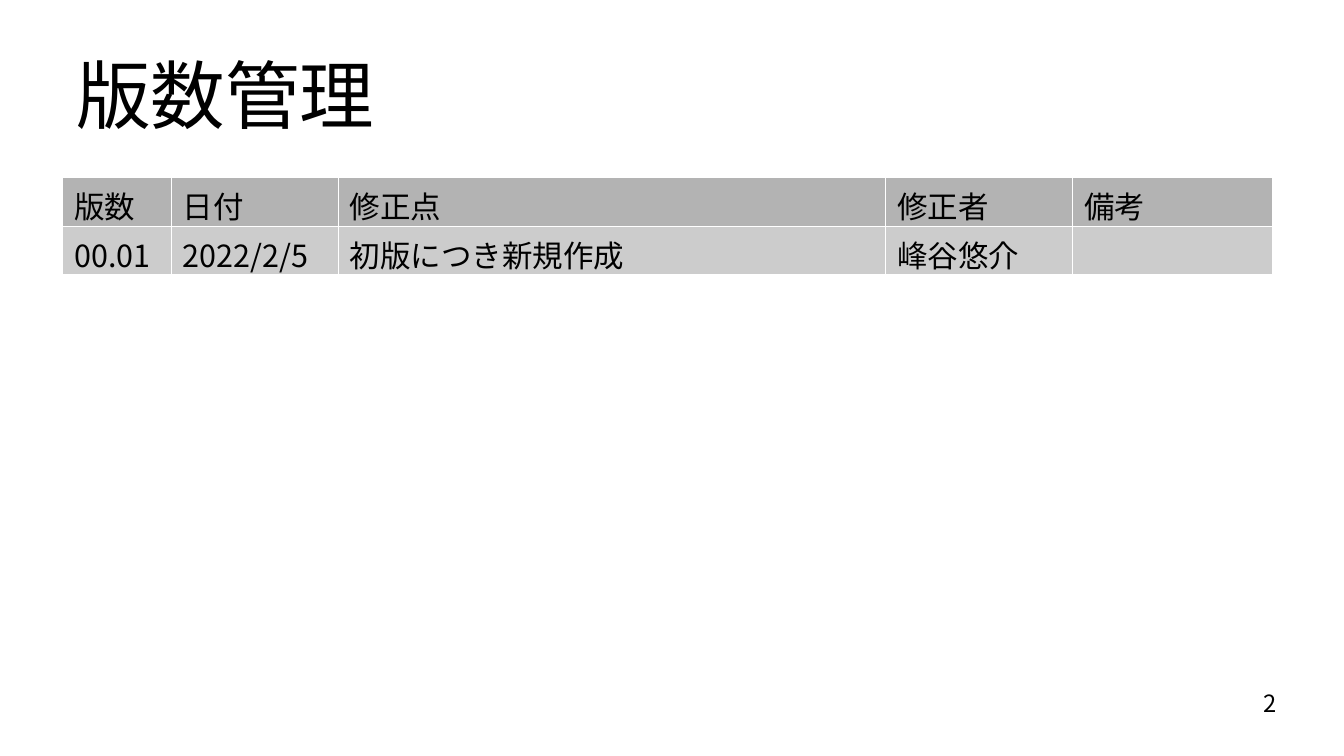
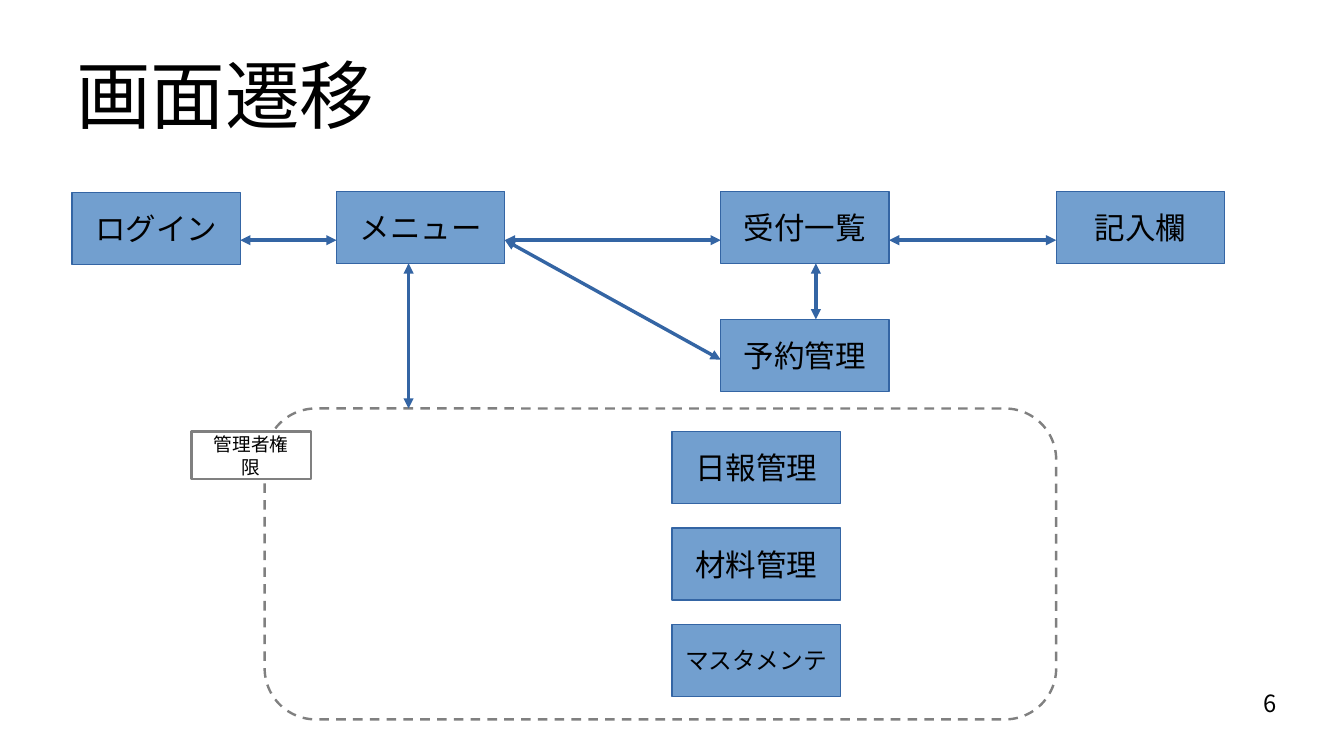
from pptx import Presentation
from pptx.dml.color import RGBColor
from pptx.enum.dml import MSO_LINE
from pptx.enum.shapes import MSO_CONNECTOR, MSO_SHAPE
from pptx.enum.text import MSO_ANCHOR, PP_ALIGN
from pptx.oxml.ns import qn
from pptx.util import Inches, Pt
from lxml import etree

LEFT, CENTER, RIGHT = PP_ALIGN.LEFT, PP_ALIGN.CENTER, PP_ALIGN.RIGHT
TOP, MIDDLE = MSO_ANCHOR.TOP, MSO_ANCHOR.MIDDLE
RECT, ROUNDED = MSO_SHAPE.RECTANGLE, MSO_SHAPE.ROUNDED_RECTANGLE
STRAIGHT, DASH = MSO_CONNECTOR.STRAIGHT, MSO_LINE.DASH

BLACK, WHITE, GRAY = "000000", "FFFFFF", "808080"
BLUE, DARK_BLUE = "729FCF", "3465A4"
ROW_FILLS = ["B3B3B3", "CCCCCC"]
ARIAL, NOTO = "Arial", "Noto Sans CJK JP"

TITLE_AT = (0.55, 0.25, 2.6, 1.03)
NUMBER_AT = (7.9, 5.65, 2.57, 0.42)
NO_INSETS, INSETS, LABEL_INSETS = (0, 0), (0.1, 0.05), (0.11, 0.06)

REVISIONS = [
    ["版数", "日付", "修正点", "修正者", "備考"],
    ["00.01", "2022/2/5", "初版につき新規作成", "峰谷悠介", ""],
]
REVISIONS_AT = (0.51, 1.45)
COLUMN_WIDTHS = [0.89, 1.37, 4.49, 1.53, 1.64]
ROW_HEIGHT = 0.37

SCREEN_W, SCREEN_H = 1.38, 0.59
SCREENS = {
    "ログイン": (0.59, 1.58),
    "メニュー": (2.76, 1.57),
    "受付一覧": (5.91, 1.57),
    "記入欄": (8.66, 1.57),
    "予約管理": (5.91, 2.62),
}
ADMIN_SCREENS = [("日報管理", 18), ("材料管理", 18), ("マスタメンテ", 14)]
ADMIN_X, ADMIN_Y, ADMIN_STEP = 5.51, 3.54, 0.79
ADMIN_AREA = (2.17, 3.35, 6.49, 2.55)
ADMIN_CORNER = 0.42
ADMIN_LABEL, ADMIN_LABEL_AT = "管理者権限", (1.57, 3.54, 0.98, 0.39)

FLOW_Y, RESERVE_Y = 1.97, 2.95
FLOWS = [
    ("ログイン", "メニュー", FLOW_Y),
    ("メニュー", "受付一覧", FLOW_Y),
    ("受付一覧", "記入欄", FLOW_Y),
    ("メニュー", "予約管理", RESERVE_Y),
]
DROPS = [
    ("受付一覧", 6.69, SCREENS["予約管理"][1]),
    ("メニュー", 3.35, ADMIN_AREA[1]),
]


def color(value):
    return RGBColor.from_string(value)


def inches(values):
    return [Inches(value) for value in values]


def write(frame, text, size, align=LEFT, font=ARIAL):
    paragraph = frame.paragraphs[0]
    paragraph.alignment = align
    run = paragraph.add_run()
    run.text = text
    for name, value in {"size": Pt(size), "name": font, "bold": False}.items():
        setattr(run.font, name, value)
    run.font.color.rgb = color(BLACK)
    properties = run.font._element
    properties.set("lang", "ja-JP")
    etree.SubElement(properties, qn("a:ea")).set("typeface", NOTO)


def set_frame(holder, insets, anchor):
    across, down = inches(insets)
    formats = {"margin_left": across, "margin_right": across,
               "margin_top": down, "margin_bottom": down,
               "vertical_anchor": anchor}
    for name, value in formats.items():
        setattr(holder, name, value)


def style_line(line, value, width):
    line.color.rgb = color(value)
    line.width = Pt(width)


def add_page(deck, heading, number):
    page = deck.slides.add_slide(deck.slide_layouts[5])
    title = page.shapes.title
    title.left, title.top, title.width, title.height = inches(TITLE_AT)
    set_frame(title.text_frame, NO_INSETS, MIDDLE)
    write(title.text_frame, heading, 44, CENTER)
    footer = page.shapes.add_textbox(*inches(NUMBER_AT)).text_frame
    footer.word_wrap = True
    set_frame(footer, NO_INSETS, TOP)
    write(footer, number, 14, RIGHT, NOTO)
    return page


def add_box(page, at, fill, line, width, kind=RECT):
    box = page.shapes.add_shape(kind, *inches(at))
    box.shadow.inherit = False
    if fill:
        box.fill.solid()
        box.fill.fore_color.rgb = color(fill)
    else:
        box.fill.background()
    style_line(box.line, line, width)
    return box


def add_label(box, text, size, insets=INSETS):
    box.text_frame.word_wrap = True
    set_frame(box.text_frame, insets, MIDDLE)
    write(box.text_frame, text, size, CENTER)


def add_screen(page, name, x, y, size=18):
    box = add_box(page, (x, y, SCREEN_W, SCREEN_H), BLUE, DARK_BLUE, 0)
    add_label(box, name, size)


def add_arrow(page, *ends):
    arrow = page.shapes.add_connector(STRAIGHT, *inches(ends))
    style_line(arrow.line, DARK_BLUE, 0)
    line = arrow.line._get_or_add_ln()
    for end in ("a:headEnd", "a:tailEnd"):
        etree.SubElement(line, qn(end)).set("type", "triangle")
    etree.SubElement(arrow._element.spPr, qn("a:effectLst"))


def border_cell(cell):
    properties = cell._tc.get_or_add_tcPr()
    for place, side in enumerate(("a:lnL", "a:lnR", "a:lnT", "a:lnB")):
        line = etree.Element(qn(side), w=str(Pt(0.06)))
        fill = etree.SubElement(line, qn("a:solidFill"))
        etree.SubElement(fill, qn("a:srgbClr")).set("val", WHITE)
        properties.insert(place, line)


def build_revisions(deck):
    page = add_page(deck, "版数管理", "2")
    size = (sum(COLUMN_WIDTHS), ROW_HEIGHT * len(REVISIONS))
    table = page.shapes.add_table(len(REVISIONS), len(COLUMN_WIDTHS),
                                  *inches(REVISIONS_AT + size)).table
    for column, width in zip(table.columns, COLUMN_WIDTHS):
        column.width = Inches(width)
    for row, texts, fill in zip(table.rows, REVISIONS, ROW_FILLS):
        row.height = Inches(ROW_HEIGHT)
        for cell, text in zip(row.cells, texts):
            set_frame(cell, INSETS, TOP)
            cell.fill.solid()
            cell.fill.fore_color.rgb = color(fill)
            border_cell(cell)
            if text:
                font = NOTO if text[0].isdigit() else ARIAL
                write(cell.text_frame, text, 18, LEFT, font)


def build_transitions(deck):
    page = add_page(deck, "画面遷移", "6")
    for name, (x, y) in SCREENS.items():
        add_screen(page, name, x, y)
    for index, (name, size) in enumerate(ADMIN_SCREENS):
        add_screen(page, name, ADMIN_X, ADMIN_Y + index * ADMIN_STEP, size)
    area = add_box(page, ADMIN_AREA, None, GRAY, 1.42, ROUNDED)
    area.adjustments[0] = ADMIN_CORNER / ADMIN_AREA[3]
    area.line.dash_style = DASH
    label = add_box(page, ADMIN_LABEL_AT, WHITE, GRAY, 1.42)
    add_label(label, ADMIN_LABEL, 11, LABEL_INSETS)
    for source, target, target_y in FLOWS:
        add_arrow(page, SCREENS[target][0], target_y,
                  SCREENS[source][0] + SCREEN_W, FLOW_Y)
    for source, x, bottom in DROPS:
        add_arrow(page, x, bottom, x, SCREENS[source][1] + SCREEN_H)


def main():
    deck = Presentation()
    deck.slide_width, deck.slide_height = inches((11.02, 6.2))
    build_revisions(deck)
    build_transitions(deck)
    deck.save("out.pptx")


if __name__ == "__main__":
    main()
